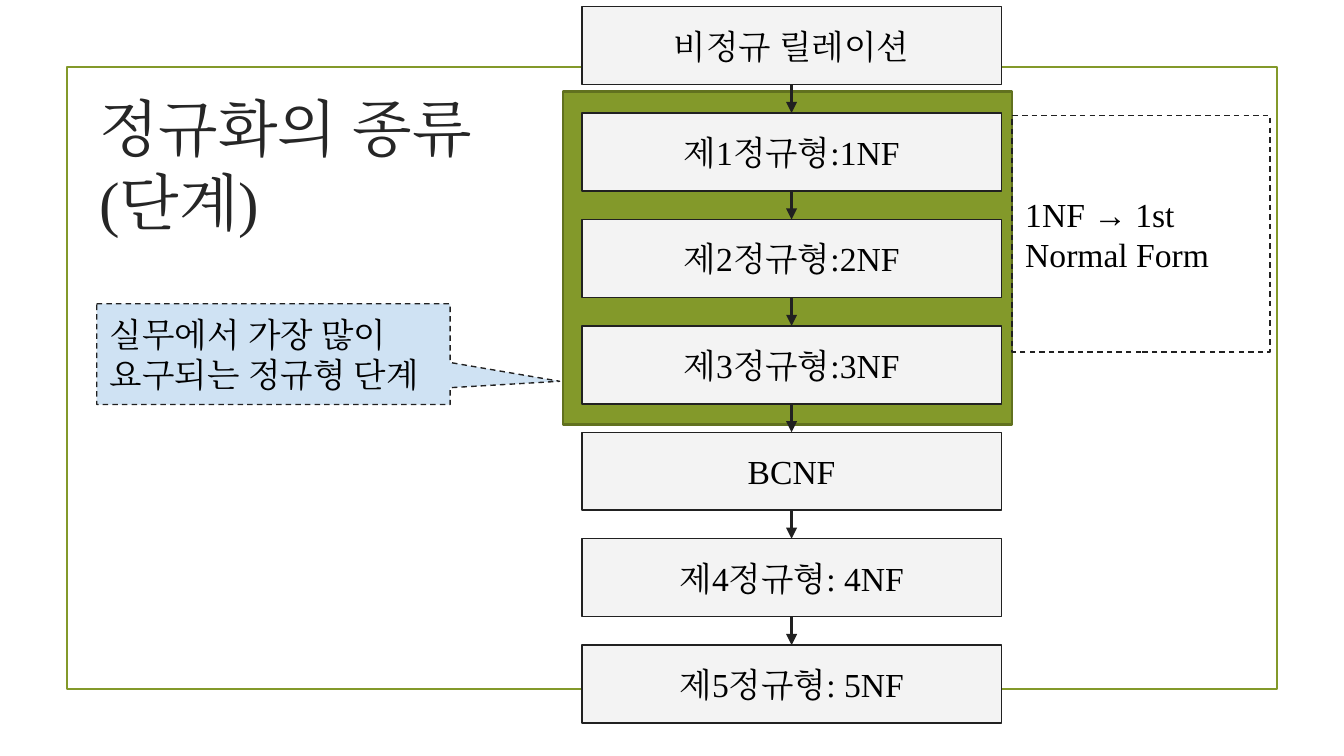
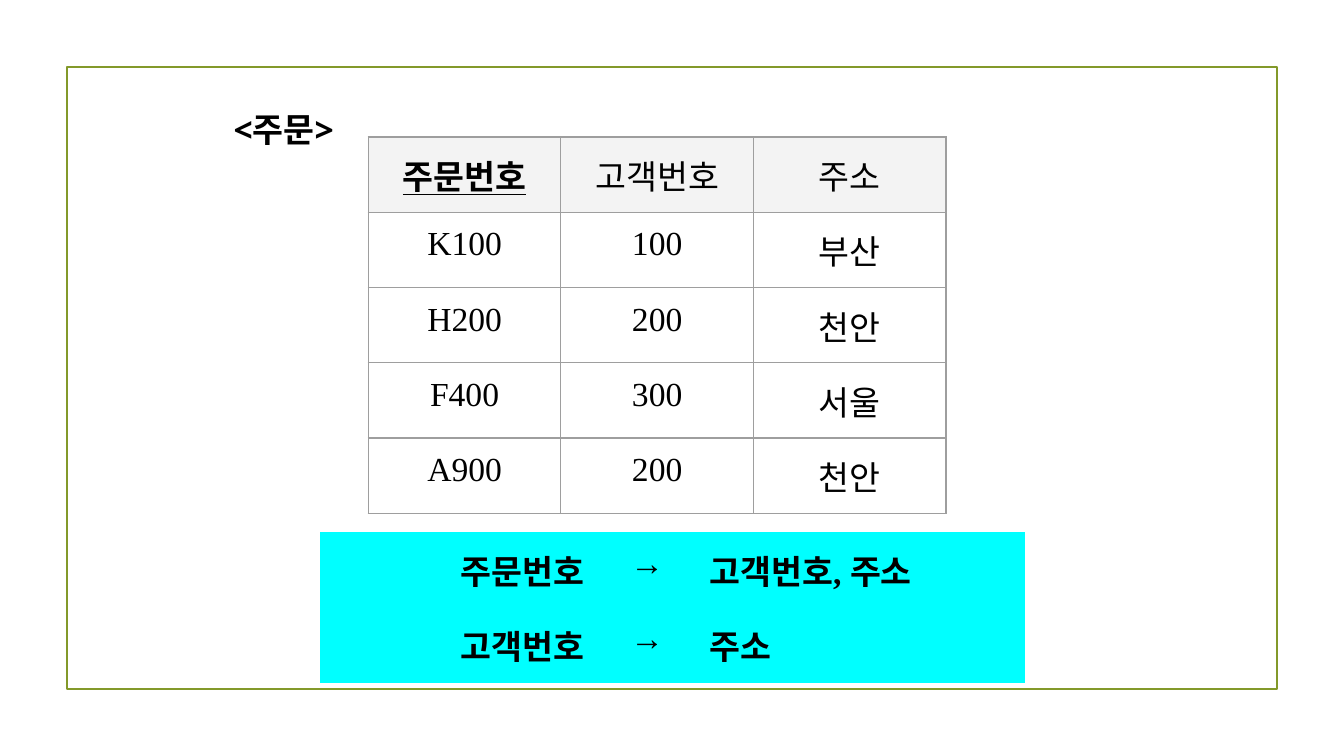
"""Build two slides on the stages of database normalisation."""
import dataclasses
import typing

import lxml.etree
import pptx
import pptx.dml.color
import pptx.enum.dml
import pptx.enum.lang
import pptx.enum.shapes
import pptx.enum.text
import pptx.oxml.ns
import pptx.util

Inches = pptx.util.Inches
Pt = pptx.util.Pt
Shape = pptx.enum.shapes.MSO_SHAPE
Align = pptx.enum.text.PP_ALIGN
Anchor = pptx.enum.text.MSO_ANCHOR


@dataclasses.dataclass(frozen=True)
class Theme:
    """Colours, fonts and type sizes of the deck."""
    green: str = "83992A"
    moss: str = "61711F"
    dark: str = "212121"
    black: str = "000000"
    head: str = "262626"
    pale: str = "F3F3F3"
    white: str = "FFFFFF"
    blue: str = "CFE2F3"
    cyan: str = "00FFFF"
    grey: str = "9E9E9E"
    serif: str = "Times New Roman"
    sans: str = "Open Sans"
    body: float = 18
    title: float = 33
    thin: float = 0.75
    edge: float = 1.25
    thick: float = 1.5
    pad: float = 0.1


THEME = Theme()


@dataclasses.dataclass(frozen=True)
class Type:
    """How a piece of text is set."""
    size: float = THEME.body
    font: str = THEME.serif
    tint: str = THEME.black
    bold: bool = False
    under: bool = False
    align: Align = Align.LEFT
    east: bool = True


@dataclasses.dataclass(frozen=True)
class Box:
    """A shape with its place in inches, its look and its text."""
    left: float
    top: float
    width: float
    height: float
    fill: typing.Optional[str] = None
    line: str = THEME.dark
    weight: float = THEME.thin
    dash: bool = False
    kind: Shape = Shape.RECTANGLE
    text: str = ""
    style: Type = Type()
    bends: tuple[float, ...] = ()


@dataclasses.dataclass(frozen=True)
class Grid:
    """A table with its place in inches, its rows and its look."""
    left: float
    top: float
    widths: tuple[float, ...]
    rows: tuple[tuple[str, ...], ...]
    styles: tuple[Type, ...]
    fill: str
    line: typing.Optional[str] = None
    top_fill: typing.Optional[str] = None
    key: typing.Optional[Type] = None
    tall: float = 0.56


def rgb(code: str) -> pptx.dml.color.RGBColor:
    """Turn a hex code into a colour."""
    return pptx.dml.color.RGBColor.from_string(code)


def add_tag(node: typing.Any, tag: str, **attrs: str) -> typing.Any:
    """Append a DrawingML child."""
    return lxml.etree.SubElement(node, pptx.oxml.ns.qn(tag), attrs)


def set_text(frame: typing.Any, text: str, style: Type) -> None:
    """Write text into a frame and format it."""
    frame.text = text
    frame.word_wrap = True
    for para in frame.paragraphs:
        para.alignment = style.align
        for run in para.runs:
            font = run.font
            font.size, font.name = Pt(style.size), style.font
            font.bold, font.underline = style.bold, style.under
            font.color.rgb = rgb(style.tint)
            font.language_id = pptx.enum.lang.MSO_LANGUAGE_ID.KOREAN
            if style.east:
                add_tag(run._r.get_or_add_rPr(), "a:ea", typeface=style.font)


def set_pads(item: typing.Any) -> None:
    """Give a frame or a cell equal margins."""
    for side in ("left", "top", "right", "bottom"):
        setattr(item, f"margin_{side}", Inches(THEME.pad))


def add_box(slide: typing.Any, box: Box) -> None:
    """Draw a shape."""
    shape = slide.shapes.add_shape(
        box.kind, Inches(box.left), Inches(box.top), Inches(box.width), Inches(box.height))
    shape.shadow.inherit = False
    for spot, bend in enumerate(box.bends):
        shape.adjustments[spot] = bend
    if box.fill:
        shape.fill.solid()
        shape.fill.fore_color.rgb = rgb(box.fill)
    else:
        shape.fill.background()
    shape.line.color.rgb = rgb(box.line)
    shape.line.width = Pt(box.weight)
    if box.dash:
        shape.line.dash_style = pptx.enum.dml.MSO_LINE.DASH
    if box.text:
        set_pads(shape.text_frame)
        shape.text_frame.vertical_anchor = Anchor.MIDDLE
        set_text(shape.text_frame, box.text, box.style)


def add_label(slide: typing.Any, left: float, top: float, width: float,
              height: float, text: str, style: Type) -> None:
    """Draw a plain text box."""
    label = slide.shapes.add_textbox(Inches(left), Inches(top), Inches(width), Inches(height))
    set_pads(label.text_frame)
    set_text(label.text_frame, text, style)


def add_arrow(slide: typing.Any, x: float, start: float, end: float) -> None:
    """Draw an arrow that points down."""
    arrow = slide.shapes.add_connector(
        pptx.enum.shapes.MSO_CONNECTOR.STRAIGHT, Inches(x), Inches(start), Inches(x), Inches(end))
    arrow.line.color.rgb = rgb(THEME.dark)
    arrow.line.width = Pt(THEME.thick)
    add_tag(arrow.line._get_or_add_ln(), "a:tailEnd", type="triangle")
    add_tag(arrow._element.spPr, "a:effectLst")


def set_edges(cell: typing.Any, line: typing.Optional[str]) -> None:
    """Draw or clear the four borders of a cell."""
    props = cell._tc.get_or_add_tcPr()
    for spot, side in enumerate(("a:lnL", "a:lnR", "a:lnT", "a:lnB")):
        edge = add_tag(props, side, w=str(int(Pt(THEME.thin))))
        props.insert(spot, edge)
        if line:
            add_tag(add_tag(edge, "a:solidFill"), "a:srgbClr", val=line)
        else:
            add_tag(edge, "a:noFill")


def add_grid(slide: typing.Any, grid: Grid) -> None:
    """Draw a table."""
    count = len(grid.rows)
    table = slide.shapes.add_table(
        count, len(grid.widths), Inches(grid.left), Inches(grid.top),
        Inches(sum(grid.widths)), Inches(grid.tall * count)).table
    table.first_row = table.horz_banding = False
    for col, width in zip(table.columns, grid.widths):
        col.width = Inches(width)
    for r, row in enumerate(grid.rows):
        table.rows[r].height = Inches(grid.tall)
        for c, text in enumerate(row):
            cell = table.cell(r, c)
            first = r == 0
            set_pads(cell)
            cell.fill.solid()
            cell.fill.fore_color.rgb = rgb(grid.top_fill if first and grid.top_fill else grid.fill)
            set_edges(cell, grid.line)
            style = grid.key if grid.key and first and c == 0 else grid.styles[c]
            set_text(cell.text_frame, text, style)


def add_slide(deck: typing.Any) -> typing.Any:
    """Add a blank slide with the green frame."""
    slide = deck.slides.add_slide(deck.slide_layouts[6])
    add_box(slide, Box(0.5, 0.5, 9, 4.63, line=THEME.green, weight=THEME.edge))
    return slide


def draw_steps(deck: typing.Any) -> None:
    """Draw the chain of normal forms."""
    slide = add_slide(deck)
    left, top, width, height = 4.33, 0.05, 3.12, 0.58
    steps = ("비정규 릴레이션", "제1정규형:1NF", "제2정규형:2NF", "제3정규형:3NF",
             "BCNF", "제4정규형: 4NF", "제5정규형: 5NF")
    pitch = 4.75 / (len(steps) - 1)
    add_box(slide, Box(4.19, 0.68, 3.34, 2.48, THEME.green, THEME.moss, THEME.edge))
    add_label(slide, 0.64, 0.57, 3.26, 2.13, "정규화의 종류(단계)",
              Type(THEME.title, tint=THEME.head))
    for spot, text in enumerate(steps):
        y = top + spot * pitch
        add_box(slide, Box(left, y, width, height, THEME.pale, text=text,
                           style=Type(align=Align.CENTER)))
        if spot:
            add_arrow(slide, left + width / 2, y - pitch + height, y)
    add_box(slide, Box(7.53, 0.86, 1.92, 1.76, dash=True, text="1NF → 1st Normal Form"))
    add_box(slide, Box(0.72, 2.26, 2.63, 0.75, THEME.blue, dash=True,
                       kind=Shape.RECTANGULAR_CALLOUT, bends=(0.81, 0.27),
                       text="실무에서 가장 많이 요구되는 정규형 단계"))


def draw_order(deck: typing.Any) -> None:
    """Draw the order table and what depends on what."""
    slide = add_slide(deck)
    add_label(slide, 1.64, 0.71, 1.59, 0.3, "<주문>", Type(font=THEME.sans, bold=True))
    add_grid(slide, Grid(
        2.38, 3.96, (2.07, 0.73, 2.45),
        (("주문번호", "→", "고객번호, 주소"), ("고객번호", "→", "주소")),
        tuple(Type(bold=True, align=side, east=False)
              for side in (Align.RIGHT, Align.CENTER, Align.LEFT)),
        THEME.cyan))
    plain = Type(align=Align.CENTER, east=False)
    add_grid(slide, Grid(
        2.74, 1.02, (4.3 / 3,) * 3,
        (("주문번호", "고객번호", "주소"), ("K100", "100", "부산"), ("H200", "200", "천안"),
         ("F400", "300", "서울"), ("A900", "200", "천안")),
        (plain,) * 3, THEME.white, THEME.grey, THEME.pale,
        dataclasses.replace(plain, bold=True, under=True)))


def main() -> None:
    """Build and save the deck."""
    deck = pptx.Presentation()
    deck.slide_width = Inches(10)
    deck.slide_height = deck.slide_width * 9 // 16
    draw_steps(deck)
    draw_order(deck)
    deck.save("out.pptx")


if __name__ == "__main__":
    main()
